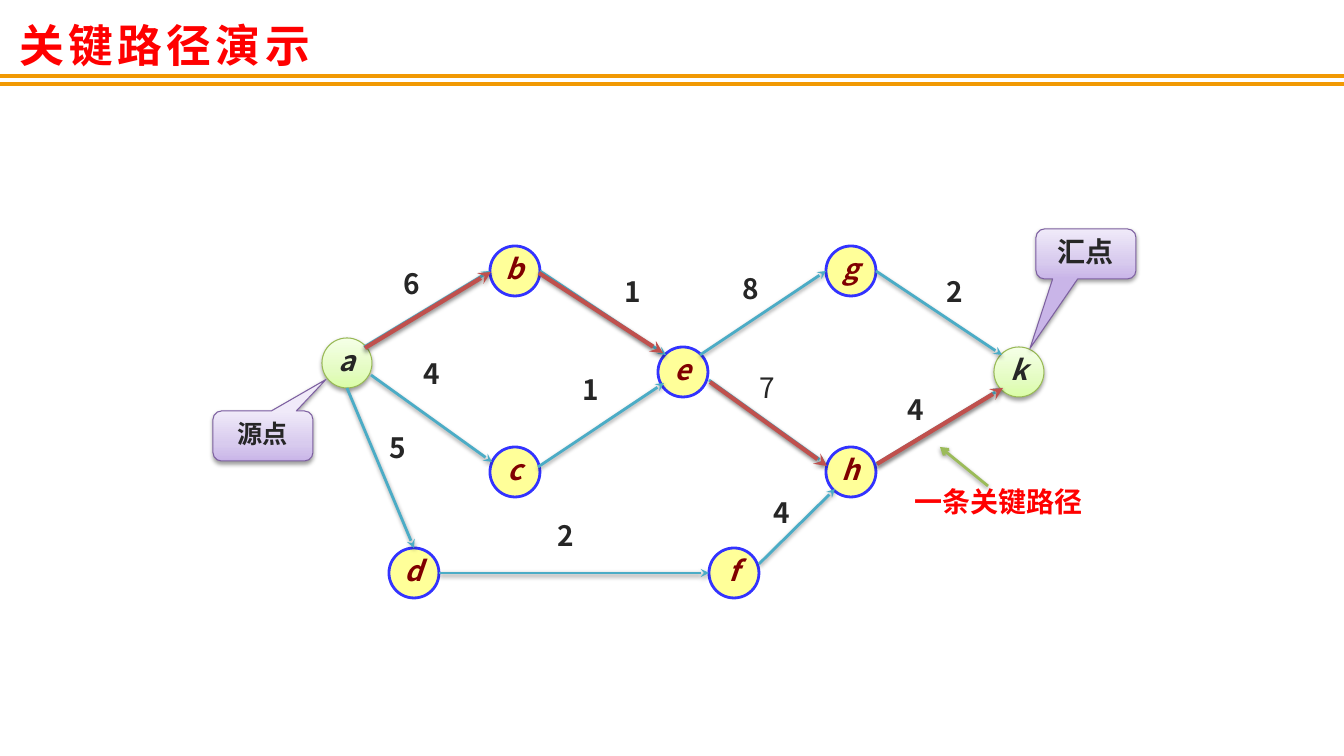
"""Builds a slide showing a critical path through an activity network."""
from lxml.etree import SubElement
from pptx import Presentation
from pptx.dml.color import RGBColor
from pptx.enum.shapes import MSO_CONNECTOR, MSO_SHAPE
from pptx.enum.text import MSO_ANCHOR, MSO_AUTO_SIZE, PP_ALIGN
from pptx.oxml.ns import qn
from pptx.util import Emu, Pt

SCALE = 914400 / 100.8
FONT = "Noto Sans CJK SC"
INK, RED, WINE = "262626", "FF0000", "800000"
TEAL, BRICK, OLIVE, GOLD = "4BACC6", "C0504D", "9BBB59", "F19903"
GREEN = ("DAFDA7", "E4FCC2", "F5FFE7")
LILAC = ("C9B5E8", "D8CBEE", "F0EAF9")
SIZE = 50

NODES = {
    "a": (347, 363), "b": (515, 271), "c": (515, 472),
    "d": (414, 573), "e": (683, 372), "f": (734, 573),
    "g": (851, 271), "h": (851, 472), "k": (1019, 372),
}
ENDS = "ak"
EDGES = [
    (538, 467, 664, 383), (364, 347, 490, 271), (540, 271, 666, 355),
    (700, 355, 826, 271), (876, 464, 1002, 388), (709, 380, 826, 464),
    (371, 375, 492, 462), (439, 573, 709, 573), (759, 564, 835, 489),
    (347, 388, 414, 548), (876, 271, 1002, 355),
]
CRITICAL = [
    (365, 348, 491, 272), (539, 273, 663, 353),
    (710, 382, 827, 466), (877, 464, 1003, 388),
]
WEIGHTS = [
    ("6", 394, 268), ("4", 414, 358), ("5", 380, 432), ("2", 548, 520),
    ("1", 615, 276), ("1", 573, 374), ("8", 733, 273), ("7", 750, 372),
    ("2", 937, 276), ("4", 898, 394), ("4", 764, 497),
]
CALLOUTS = [
    ("源点", 213, 411, 18, (0.63, -1.13, 0.17)),
    ("汇点", 1036, 229, 20, (-0.56, 1.89, 0.17)),
]


def px(num):
    return Emu(round(num * SCALE))


def tint(code):
    return RGBColor.from_string(code)


class Board:
    """Holds the style and the current slide."""

    def __init__(self, deck):
        self.slide = deck.slides.add_slide(deck.slide_layouts[6])
        self.shapes = self.slide.shapes

    def shade(self, shape, alpha=0, dist=20000):
        glow = SubElement(shape._element.spPr, qn("a:effectLst"))
        if alpha:
            cast = SubElement(glow, qn("a:outerShdw"), blurRad="40000",
                              dist=str(dist), dir="5400000", rotWithShape="0")
            base = SubElement(cast, qn("a:srgbClr"), val="000000")
            SubElement(base, qn("a:alpha"), val=str(alpha * 1000))

    def blend(self, shape, codes):
        shape.fill.gradient()
        shape.fill.gradient_angle = 90
        stops = shape._element.spPr.find(".//" + qn("a:gsLst"))
        stops.clear()
        for pos, code in zip((0, 35000, 100000), codes):
            stop = SubElement(stops, qn("a:gs"), pos=str(pos))
            SubElement(stop, qn("a:srgbClr"), val=code)

    def label(self, shape, words, size, color, bold=True, italic=False,
              align=PP_ALIGN.CENTER, gap=0):
        para = shape.text_frame.paragraphs[0]
        para.alignment = align
        para.line_spacing = 0.8
        para.space_before = Pt(0)
        run = para.add_run()
        run.text = words
        font = run.font
        font.name, font.size = FONT, Pt(size)
        font.bold, font.italic = bold, italic
        font.color.rgb = tint(color)
        props = run._r.get_or_add_rPr()
        SubElement(props, qn("a:ea"), typeface=FONT)
        if gap:
            props.set("spc", str(gap * 100))

    def text(self, words, left, top, width, height, size=20, color=INK,
             wrap=True, **style):
        box = self.shapes.add_textbox(px(left), px(top), px(width), px(height))
        box.text_frame.word_wrap = wrap
        box.text_frame.auto_size = MSO_AUTO_SIZE.SHAPE_TO_FIT_TEXT
        self.label(box, words, size, color, **style)

    def shape(self, kind, left, top, width, fill, edge, thick):
        item = self.shapes.add_shape(kind, px(left), px(top), px(width), px(SIZE))
        item.line.color.rgb = tint(edge)
        item.line.width = Pt(thick)
        if isinstance(fill, str):
            item.fill.solid()
            item.fill.fore_color.rgb = tint(fill)
            self.shade(item)
        else:
            self.blend(item, fill)
            self.shade(item, 38)
        item.text_frame.word_wrap = False
        item.text_frame.vertical_anchor = MSO_ANCHOR.MIDDLE
        return item

    def node(self, name, x, y):
        if name in ENDS:
            look, color = (GREEN, "98B955", 0.75), INK
        else:
            look, color = ("FFFF99", "3333FF", 2), WINE
        disc = self.shape(MSO_SHAPE.OVAL, x - SIZE / 2, y - SIZE / 2, SIZE, *look)
        self.label(disc, name, 20, color, italic=True)

    def callout(self, words, left, top, size, bends):
        note = self.shape(MSO_SHAPE.ROUNDED_RECTANGULAR_CALLOUT, left, top,
                          2 * SIZE, LILAC, "7D60A0", 0.75)
        for spot, bend in enumerate(bends):
            note.adjustments[spot] = bend
        self.label(note, words, size, INK)

    def line(self, ends, color, thick, head=None, alpha=0, dist=20000):
        link = self.shapes.add_connector(MSO_CONNECTOR.STRAIGHT, *map(px, ends))
        link.line.color.rgb = tint(color)
        link.line.width = Pt(thick)
        if head:
            stroke = link._element.spPr.find(qn("a:ln"))
            SubElement(stroke, qn("a:tailEnd"), type=head)
        self.shade(link, alpha, dist)


def main():
    deck = Presentation()
    deck.slide_width, deck.slide_height = px(1344), px(756)
    board = Board(deck)
    for y in (76, 84):
        board.line((0, y, 1344, y), GOLD, 3)
    board.text("关键路径演示", 10, 23, 768, 53, 32, RED,
               align=PP_ALIGN.LEFT, gap=3)
    for name, spot in NODES.items():
        board.node(name, *spot)
    for ends in EDGES:
        board.line(ends, TEAL, 2, "stealth", 38)
    for words, left, top in WEIGHTS:
        board.text(words, left, top, 37, 37, wrap=False, bold=words != "7",
                   align=PP_ALIGN.LEFT)
    for ends in CRITICAL:
        board.line(ends, BRICK, 3, "stealth", 35, 23000)
    for note in CALLOUTS:
        board.callout(*note)
    board.text("一条关键路径", 877, 486, 244, 37, color=RED)
    board.line((988, 486, 940, 447), OLIVE, 2, "arrow", 38)
    deck.save("out.pptx")


if __name__ == "__main__":
    main()
